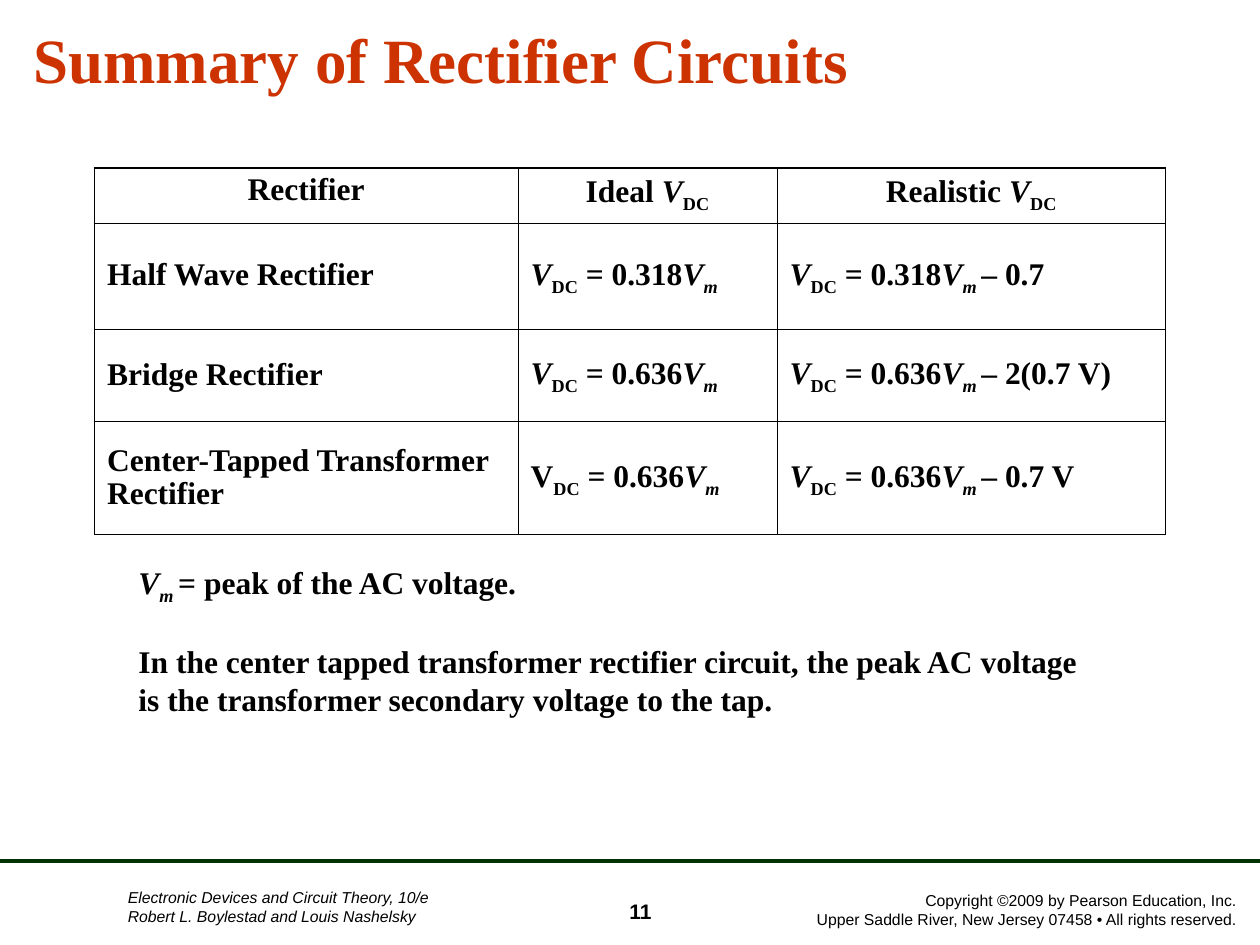
"""Build the slide that sums up rectifier circuits."""
from dataclasses import dataclass
from pptx import Presentation
from pptx.dml.color import RGBColor
from pptx.enum.shapes import MSO_CONNECTOR
from pptx.enum.text import MSO_ANCHOR, PP_ALIGN
from pptx.oxml.xmlchemy import OxmlElement
from pptx.util import Pt


@dataclass(frozen=True)
class Theme:
    ink: str = "000000"
    title: str = "CC3300"
    rule: str = "003300"
    serif: str = "Times New Roman"
    sans: str = "Arial"
    head: int = 36
    body: int = 18
    page: int = 12
    foot: int = 9


THEME = Theme()
MARKS = {"/": (True, False), "_": (False, True), "~": (True, True)}


def write(frame, text, size=THEME.body, face=THEME.serif, color=THEME.ink,
          bold=True, italic=False, align=PP_ALIGN.LEFT, gap=0, lead=None):
    """Write lines of runs split by |, where / is italic, _ subscript and ~ both."""
    frame.word_wrap = True
    for num, line in enumerate(text.split("\n")):
        para = frame.add_paragraph() if num else frame.paragraphs[0]
        para.alignment = align
        if num and gap:
            para.space_before = Pt(gap)
        if lead:
            para.line_spacing = lead
        for part in line.split("|"):
            slant, low = MARKS.get(part[0], (False, False))
            run = para.add_run()
            run.text = part[1:] if part[0] in MARKS else part
            font = run.font
            font.size, font.name, font.bold = Pt(size), face, bold
            font.italic = italic or slant
            font.color.rgb = RGBColor.from_string(color)
            if low:
                font._element.set("baseline", "-25000")


class Deck:
    """Hold the theme and the current slide."""

    def __init__(self, theme):
        self.theme = theme
        self.show = Presentation()
        self.show.slide_width, self.show.slide_height = Pt(720), Pt(540)
        self.slide = self.show.slides.add_slide(self.show.slide_layouts[6])

    def text(self, box, text, anchor=MSO_ANCHOR.TOP, base=3.6, **style):
        """Add a text box."""
        frame = self.slide.shapes.add_textbox(*map(Pt, box)).text_frame
        frame.vertical_anchor = anchor
        frame.margin_bottom = Pt(base)
        write(frame, text, **style)

    def line(self, start, end, color, width):
        """Add a straight line."""
        line = self.slide.shapes.add_connector(
            MSO_CONNECTOR.STRAIGHT, *map(Pt, (*start, *end)))
        line.line.color.rgb = RGBColor.from_string(color)
        line.line.width = Pt(width)
        line._element.spPr.append(OxmlElement("a:effectLst"))

    def edge(self, cell, side, width):
        """Draw one border of a cell."""
        line = OxmlElement(f"a:ln{side}")
        line.set("w", str(Pt(width)))
        fill = OxmlElement("a:solidFill")
        color = OxmlElement("a:srgbClr")
        color.set("val", self.theme.ink)
        fill.append(color)
        line.append(fill)
        cell._tc.get_or_add_tcPr().append(line)

    def table(self, spot, wide, high, rows):
        """Add a ruled table with a centred header row."""
        size = sum(wide), sum(high)
        grid = self.slide.shapes.add_table(
            len(high), len(wide), *map(Pt, (*spot, *size))).table
        grid.first_row = grid.horz_banding = False
        for col, width in zip(grid.columns, wide):
            col.width = Pt(width)
        for row, height in zip(grid.rows, high):
            row.height = Pt(height)
        for y, row in enumerate(rows):
            for x, text in enumerate(row):
                cell = grid.cell(y, x)
                outer = {"L": x == 0, "R": x == len(wide) - 1,
                         "T": y == 0, "B": y == len(high) - 1}
                for side, thick in outer.items():
                    self.edge(cell, side, 1.08 if thick else 0.45)
                cell.fill.background()
                cell.vertical_anchor = MSO_ANCHOR.MIDDLE if y else MSO_ANCHOR.TOP
                write(cell.text_frame, text, lead=0.95,
                      align=PP_ALIGN.LEFT if y else PP_ALIGN.CENTER)


def main():
    """Build and save the slide."""
    deck, theme = Deck(THEME), THEME
    foot = dict(size=theme.foot, face=theme.sans, bold=False)
    deck.text((438, 497.5, 275.5, 36.5),
              "Copyright ©2009 by Pearson Education, Inc.\n"
              "Upper Saddle River, New Jersey 07458 • All rights reserved.",
              anchor=MSO_ANCHOR.BOTTOM, align=PP_ALIGN.RIGHT, **foot)
    deck.line((0, 492), (720, 492), theme.rule, 2.25)
    deck.text((66, 504, 354, 29),
              "Electronic Devices and Circuit Theory, 10/e\n"
              "Robert L. Boylestad and Louis Nashelsky", italic=True, **foot)
    deck.text((12, 6, 702, 50), "Summary of Rectifier Circuits",
              anchor=MSO_ANCHOR.BOTTOM, base=1, size=theme.head, color=theme.title)
    deck.text((318, 510, 96, 21.5), "11", size=theme.page, face=theme.sans,
              align=PP_ALIGN.CENTER)
    deck.text((72, 318, 558, 96.5),
              "/V|~m |= peak of the AC voltage.\n"
              "In the center tapped transformer rectifier circuit, the peak AC "
              "voltage is the transformer secondary voltage to the tap.", gap=20.7)
    volt = "/V|_DC| = "
    half, full = "0.318|/V|~m", "0.636|/V|~m"
    deck.table((54, 96), (242, 148, 222), (31.5, 60.5, 53, 64.5), (
        ("Rectifier", "Ideal |/V|_DC", "Realistic |/V|_DC"),
        ("Half Wave Rectifier", volt + half, f"{volt}{half} |– 0.7"),
        ("Bridge Rectifier", volt + full, f"{volt}{full} |– 2(0.7 V)"),
        ("Center-Tapped Transformer Rectifier", "V|_DC| = " + full,
         f"{volt}{full} |– 0.7 V")))
    deck.show.save("out.pptx")


if __name__ == "__main__":
    main()
